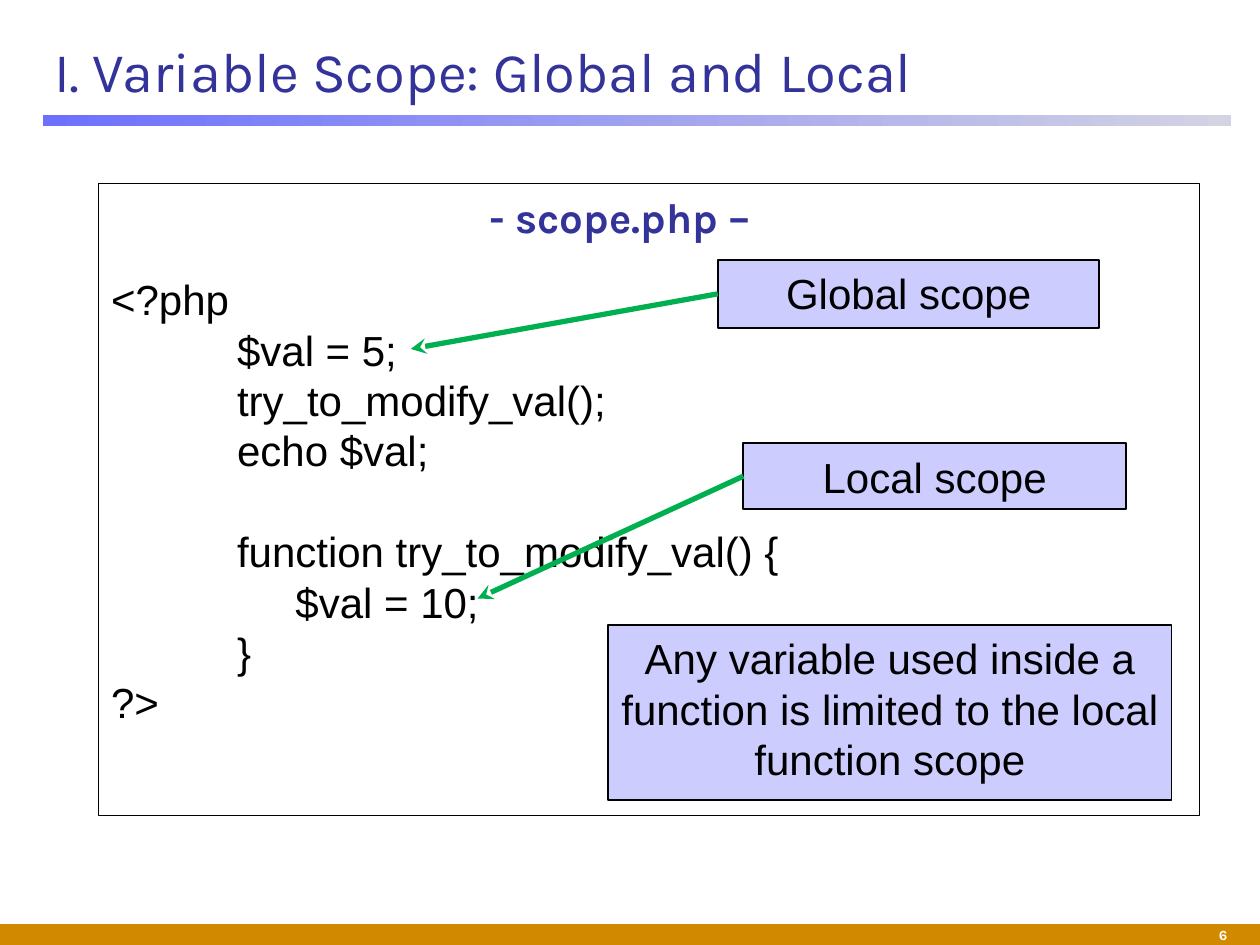
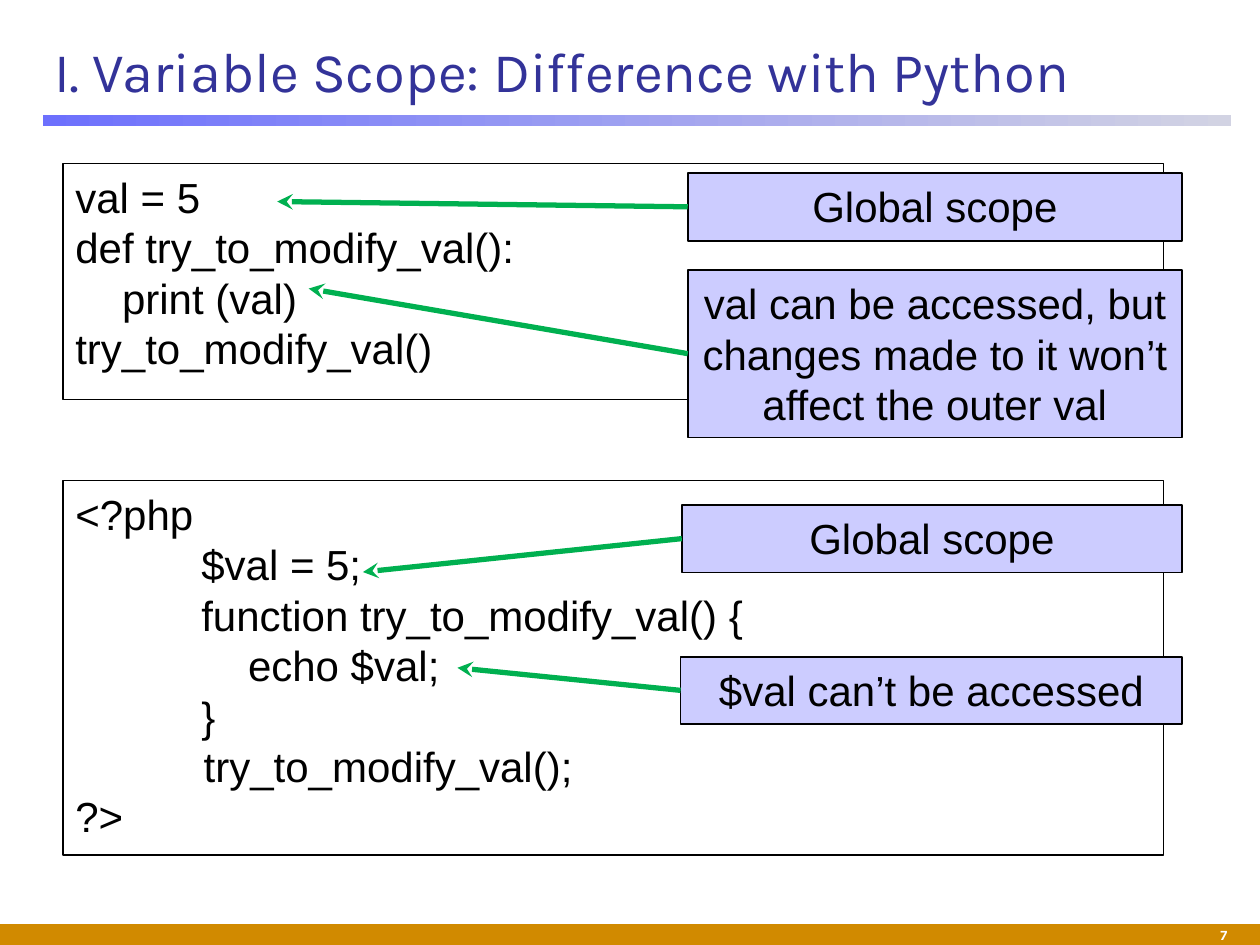
from lxml import etree
from pptx import Presentation
from pptx import util as u
from pptx.dml.color import RGBColor
from pptx.enum import shapes, text
from pptx.oxml.ns import qn

COLORS = {
    "title": "333399", "code": "000000", "callout": "CCCCFF", "arrow": "00B050",
    "footer": "D18A00", "page": "FFFFFF", "rule_start": "6D70FD", "rule_end": "D2D3E3",
}
CODE_SIZE = 24
LINE = 28.8
TAB = 72
SPACE = 6.67  # width of one space at CODE_SIZE


def rgb(name):
    return RGBColor.from_string(COLORS[name])


def add_text(tf, content, *, first=False, font="Arial", size=CODE_SIZE, color="code",
             bold=False, align=text.PP_ALIGN.LEFT, indent=0, before=0, after=0, line=LINE):
    p = tf.paragraphs[0] if first else tf.add_paragraph()
    p.alignment = align
    p.space_before, p.space_after = u.Pt(before), u.Pt(after)
    if line:
        p.line_spacing = u.Pt(line)
    if indent:
        p._p.get_or_add_pPr().set("marL", str(u.Pt(indent)))
    r = p.add_run()
    r.text = content
    r.font.name, r.font.size, r.font.bold = font, u.Pt(size), bold
    r.font.color.rgb = rgb(color)


def add_box(s, box, fill=None, line=None):
    """Rectangle at (left, top, width, height); line is the outline width."""
    sp = s.shapes.add_shape(shapes.MSO_SHAPE.RECTANGLE, *map(u.Pt, box))
    sp.shadow.inherit = False
    if fill:
        sp.fill.solid()
        sp.fill.fore_color.rgb = rgb(fill)
    else:
        sp.fill.background()
    if line:
        sp.line.color.rgb = rgb("code")
        sp.line.width = u.Pt(line)
    else:
        sp.line.fill.background()
    set_frame(sp.text_frame, top=4.6)
    return sp


def set_frame(tf, top=3.6, bottom=3.6, anchor=text.MSO_ANCHOR.TOP):
    tf.word_wrap = True
    tf.vertical_anchor = anchor
    tf.margin_left = tf.margin_right = u.Pt(7.2)
    tf.margin_top, tf.margin_bottom = u.Pt(top), u.Pt(bottom)


def add_label(s, box, content, anchor, bottom=0, **fmt):
    tf = s.shapes.add_textbox(*map(u.Pt, box)).text_frame
    set_frame(tf, 0, bottom, anchor)
    add_text(tf, content, first=True, font="Karla", line=None, **fmt)


def add_rule(s):
    sp = add_box(s, (24.5, 65.6, 679, 6.5))
    sp.fill.gradient()
    sp.fill.gradient_angle = 0
    for stop, name, position in zip(sp.fill.gradient_stops, ("rule_start", "rule_end"), (0, 1)):
        stop.color.rgb = rgb(name)
        stop.position = position


def add_base_slide(prs, title, number):
    s = prs.slides.add_slide(prs.slide_layouts[6])
    add_box(s, (0, 528, 720, 12), "footer")
    add_rule(s)
    add_label(s, (606, 528, 102.5, 12), str(number), text.MSO_ANCHOR.MIDDLE,
              size=8, color="page", bold=True, align=text.PP_ALIGN.RIGHT)
    add_label(s, (23.8, 12.2, 678, 54), title, text.MSO_ANCHOR.BOTTOM, bottom=7.2,
              size=32, color="title")
    return s


def add_code(s, box, lines, heading=None):
    """Framed listing; each line is (indent, code), and None leaves a line's gap."""
    tf = add_box(s, box, line=0.75).text_frame
    if heading:
        add_text(tf, heading, first=True, font="Karla", color="title", bold=True,
                 indent=3 * TAB, after=18)
    gap = 0
    for i, entry in enumerate(lines):
        if entry is None:
            gap = LINE
            continue
        indent, code = entry
        add_text(tf, code, first=i == 0 and not heading, indent=indent, before=gap)
        gap = 0


def add_arrow(s, start, end):
    c = s.shapes.add_connector(shapes.MSO_CONNECTOR.STRAIGHT, *map(u.Pt, start + end))
    c.line.color.rgb = rgb("arrow")
    c.line.width = u.Pt(3)
    etree.SubElement(c.line._get_or_add_ln(), qn("a:tailEnd"), type="stealth")
    etree.SubElement(c._element.spPr, qn("a:effectLst"))


def add_callout(s, box, content, target=None):
    """Filled note, with an arrow from the middle of its left side to target."""
    sp = add_box(s, box, "callout", line=1)
    add_text(sp.text_frame, content, first=True, align=text.PP_ALIGN.CENTER)
    if target:
        left, top, _, height = box
        add_arrow(s, (left, top + height / 2), target)


def build_global_and_local(prs):
    s = add_base_slide(prs, "I. Variable Scope: Global and Local", 6)
    add_code(s, (56.4, 105, 629, 361), [
        (0, "<?php"),
        (TAB, "$val = 5;"),
        (TAB, "try_to_modify_val();"),
        (TAB, "echo $val;"),
        None,
        (TAB, "function try_to_modify_val() {"),
        (TAB + 5 * SPACE, "$val = 10;"),
        (TAB, "}"),
        (0, "?>"),
    ], heading="- scope.php –")
    add_callout(s, (424.8, 253.2, 218.6, 37.8), "Local scope", (272.9, 342))
    add_callout(s, (347.5, 357, 322, 100),
                "Any variable used inside a function is limited to the local function scope")
    add_callout(s, (410.2, 148.5, 218, 38.8), "Global scope", (234.7, 199.4))


def build_difference_with_python(prs):
    s = add_base_slide(prs, "I. Variable Scope: Difference with Python", 7)
    add_code(s, (36, 93.4, 629, 134.8), [
        (0, "val = 5"),
        (0, "def try_to_modify_val():"),
        (4 * SPACE, "print (val)"),
        (0, "try_to_modify_val()"),
    ])
    add_code(s, (36, 274.6, 629, 214), [
        (0, "<?php"),
        (TAB, "$val = 5;"),
        (TAB, "function try_to_modify_val() {"),
        (TAB + 4 * SPACE, "echo $val;"),
        (TAB, "}"),
        (11 * SPACE, "try_to_modify_val();"),
        (0, "?>"),
    ])
    right = 675.5
    callouts = [
        (393, 98.8, 38.8, "Global scope", (158.4, 115.2)),
        (393, 154.2, 95.8, "val can be accessed, but changes made to it won’t "
                           "affect the outer val", (176.4, 164.9)),
        (389.6, 288.4, 38.8, "Global scope", (207.4, 326.9)),
        (388.9, 375.3, 38.4, "$val can’t be accessed", (261.4, 381.6)),
    ]
    for left, top, height, content, target in callouts:
        add_callout(s, (left, top, right - left, height), content, target)


def main():
    prs = Presentation()
    prs.slide_width, prs.slide_height = u.Pt(720), u.Pt(540)
    build_global_and_local(prs)
    build_difference_with_python(prs)
    prs.save("out.pptx")


if __name__ == "__main__":
    main()
